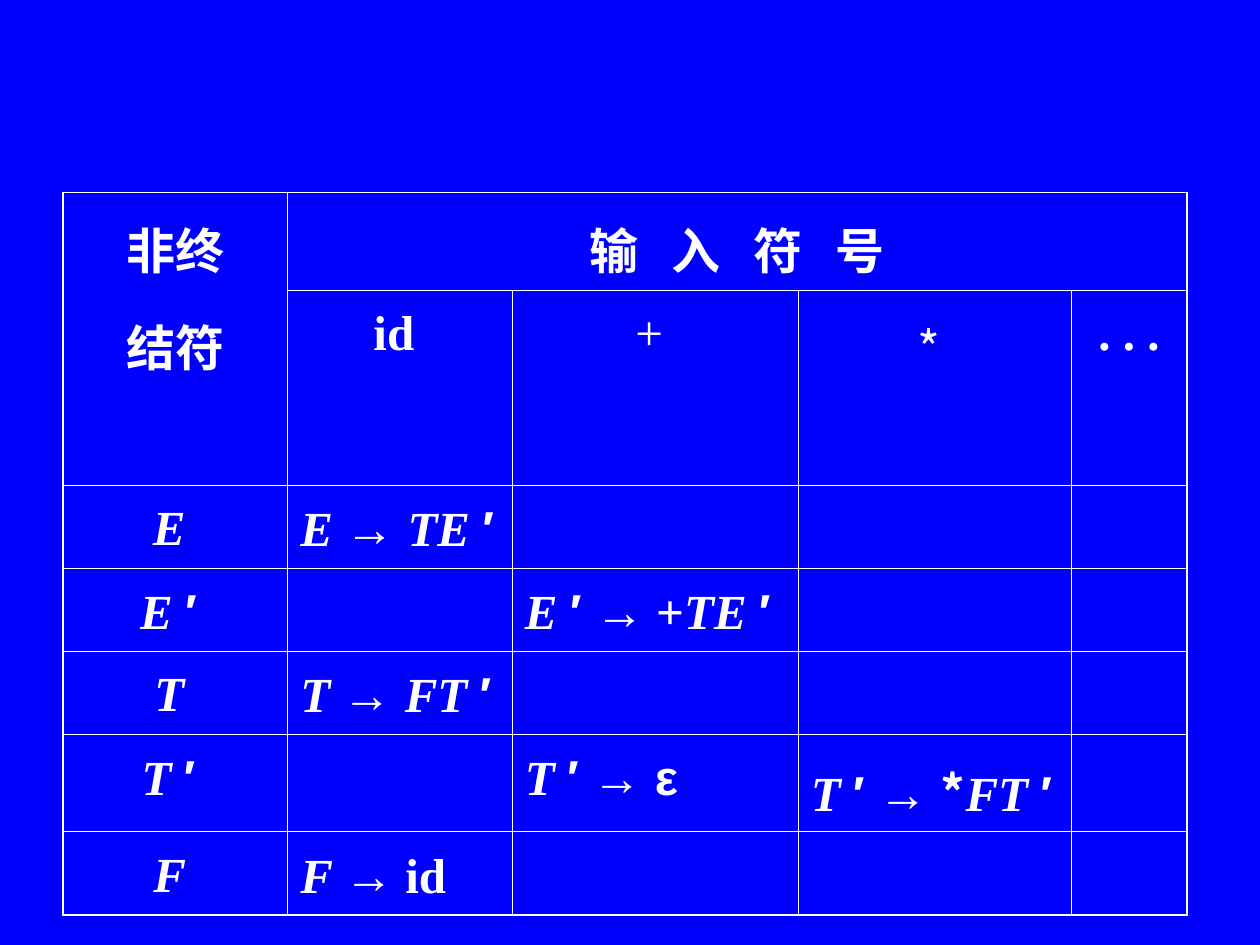
from dataclasses import dataclass

from lxml import etree
from pptx import Presentation
from pptx.dml.color import RGBColor
from pptx.enum import text
from pptx.oxml import ns
from pptx.util import Pt


@dataclass(frozen=True)
class Theme:
    background: str = "0000FF"
    ink: str = "FFFFFF"
    serif: str = "Times New Roman"
    sans: str = "Arial"
    chinese: str = "Noto Sans CJK SC"
    size: float = 28
    outer_line: float = 1.08
    inner_line: float = 0.45
    letter_spacing: float = 6.25


THEME = Theme()

# Run style: font, bold, italic
SYMBOL = (THEME.serif, True, True)
WORD = (THEME.serif, True, False)
SIGN = (THEME.sans, True, False)
HEADING = (THEME.chinese, True, False)
PLAIN_SERIF = (THEME.serif, False, False)
PLAIN_CHINESE = (THEME.chinese, False, False)
PRIME = ("′", SIGN)
ARROW = ("→ ", SIGN)

COLUMN_WIDTHS = [128.4, 128.4, 163.4, 156, 66]
ROW_HEIGHTS = [47.5, 95] + [47.5] * 5

# Cell (row, column): paragraphs, each a list of (text, style) runs
HEADER_CELLS = {
    (0, 0): [[("非终", WORD)], [("结符", WORD)]],
    (0, 1): [[("输 入 符 号", HEADING)]],
    (1, 1): [[("id ", WORD)]],
    (1, 2): [[("+ ", PLAIN_SERIF)]],
    (1, 3): [[("* ", PLAIN_CHINESE)]],
    (1, 4): [[(". . .", WORD)]],
}
NONTERMINALS = ["E", "E′", "T", "T′", "F"]
PRODUCTIONS = {
    (2, 1): [("E ", SYMBOL), ARROW, ("TE ", SYMBOL), PRIME],
    (3, 2): [("E ", SYMBOL), ("′ →", SIGN), (" +", WORD), ("TE ", SYMBOL), PRIME],
    (4, 1): [("T ", SYMBOL), ARROW, ("FT ", SYMBOL), PRIME],
    (5, 2): [("T ", SYMBOL), ("′ → ε", SIGN)],
    (5, 3): [("T ", SYMBOL), ("′ → ", SIGN), ("*", HEADING), ("FT ", SYMBOL), PRIME],
    (6, 1): [("F ", SYMBOL), ("→", SIGN), (" id", WORD)],
}


def add_run(paragraph, content, style):
    run = paragraph.add_run()
    run.text = content
    font = run.font
    font.name, font.bold, font.italic = style
    font.size = Pt(THEME.size)
    font.color.rgb = RGBColor.from_string(THEME.ink)
    east_asian = etree.SubElement(run._r.get_or_add_rPr(), ns.qn("a:ea"))
    east_asian.set("typeface", THEME.chinese)
    return run


def fill_cell(cell, paragraphs, centred):
    frame = cell.text_frame
    for index, runs in enumerate(paragraphs):
        paragraph = frame.add_paragraph() if index else frame.paragraphs[0]
        paragraph.alignment = text.PP_ALIGN.CENTER if centred else text.PP_ALIGN.LEFT
        paragraph.line_spacing = 1.2
        if index:
            paragraph.space_before = Pt(7)
        for content, style in runs:
            add_run(paragraph, content, style)


def set_borders(cell, outer_sides):
    """Line all four sides, heavier on the outer edge of the table."""
    properties = cell._tc.get_or_add_tcPr()
    for side in "LRTB":
        width = THEME.outer_line if side in outer_sides else THEME.inner_line
        line = etree.SubElement(properties, ns.qn(f"a:ln{side}"), w=str(Pt(width)))
        fill = etree.SubElement(line, ns.qn("a:solidFill"))
        etree.SubElement(fill, ns.qn("a:srgbClr"), val=THEME.ink)


def format_cells(table):
    row_count, column_count = len(table.rows), len(table.columns)
    for row in range(row_count):
        for column in range(column_count):
            cell = table.cell(row, column)
            edges = {
                "L": column == 0,
                "R": column + cell.span_width == column_count,
                "T": row == 0,
                "B": row + cell.span_height == row_count,
            }
            set_borders(cell, [side for side, outer in edges.items() if outer])
            cell.fill.background()
            cell.margin_left = cell.margin_right = Pt(7.2)
            cell.margin_top = cell.margin_bottom = Pt(3.6)


def add_parsing_table(slide, left, top, width, height):
    table = slide.shapes.add_table(
        len(ROW_HEIGHTS), len(COLUMN_WIDTHS), Pt(left), Pt(top), Pt(width), Pt(height)
    ).table
    table.first_row = table.horz_banding = False
    for column, share in zip(table.columns, COLUMN_WIDTHS):
        column.width = Pt(width * share / sum(COLUMN_WIDTHS))
    for row, share in zip(table.rows, ROW_HEIGHTS):
        row.height = Pt(height * share / sum(ROW_HEIGHTS))

    table.cell(0, 0).merge(table.cell(1, 0))
    table.cell(0, 1).merge(table.cell(0, 4))
    format_cells(table)

    for position, paragraphs in HEADER_CELLS.items():
        fill_cell(table.cell(*position), paragraphs, centred=True)
    heading = table.cell(0, 1).text_frame.paragraphs[0].runs[0]
    heading._r.get_or_add_rPr().set("spc", str(round(THEME.letter_spacing * 100)))

    for row, name in enumerate(NONTERMINALS, start=2):
        runs = [(name[0] + " ", SYMBOL)]
        if name.endswith("′"):
            runs.append(("′ ", SIGN))
        fill_cell(table.cell(row, 0), [runs], centred=True)
    for position, runs in PRODUCTIONS.items():
        fill_cell(table.cell(*position), [runs], centred=False)


def main():
    presentation = Presentation()
    presentation.slide_width, presentation.slide_height = Pt(720), Pt(540)
    slide = presentation.slides.add_slide(presentation.slide_layouts[6])
    background = slide.background.fill
    background.solid()
    background.fore_color.rgb = RGBColor.from_string(THEME.background)
    add_parsing_table(slide, 36, 110, sum(COLUMN_WIDTHS), sum(ROW_HEIGHTS))
    presentation.save("out.pptx")


if __name__ == "__main__":
    main()
